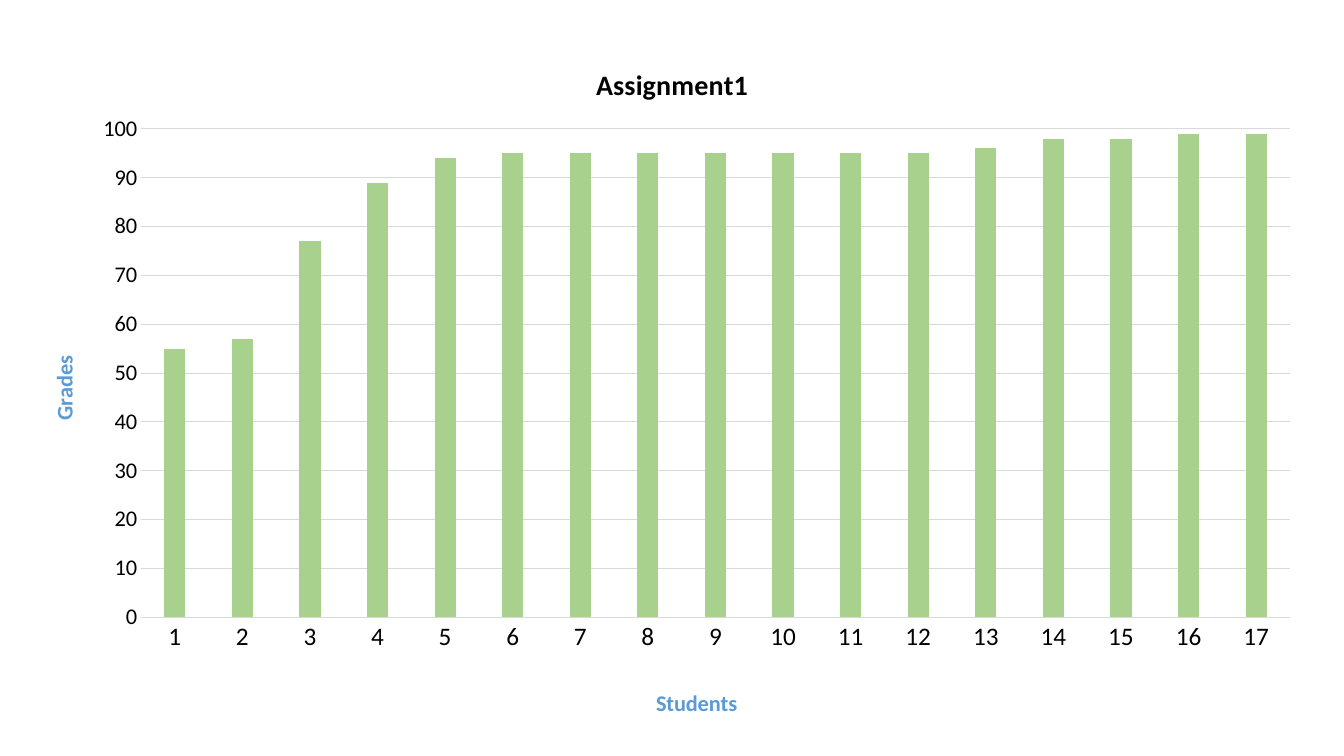
from dataclasses import dataclass

from lxml import etree
from pptx import Presentation
from pptx.chart.data import CategoryChartData
from pptx.dml.color import RGBColor
from pptx.enum.chart import XL_CHART_TYPE, XL_TICK_MARK
from pptx.oxml.ns import qn
from pptx.util import Pt

COLUMN = XL_CHART_TYPE.COLUMN_CLUSTERED
NO_TICK = XL_TICK_MARK.NONE
EMU_PER_PX = 914400 / 100.8
SLIDE_SIZE = (1344, 756)
CHART_BOX = (19, 31, 1297, 694)
PLOT_BOX = (141, 129, 1149, 489)
GRADES = [55, 57, 77, 89, 94, 95, 95, 95, 95, 95, 95, 95, 96, 98, 98, 99, 99]


@dataclass(frozen=True)
class Theme:
    font: str = "Calibri"
    text: str = "000000"
    accent: str = "5B9BD5"
    bar: str = "A9D18E"
    grid: str = "D9D9D9"
    base_size: int = 10
    title_size: int = 20
    label_size: int = 16
    category_size: int = 18
    line_width: float = 0.75


THEME = Theme()


def px(value):
    return round(value * EMU_PER_PX)


def set_font(font, size, color=THEME.text, bold=False):
    font.name = THEME.font
    font.size = Pt(size)
    font.bold = bold
    font.color.rgb = RGBColor.from_string(color)


def set_line(line):
    line.color.rgb = RGBColor.from_string(THEME.grid)
    line.width = Pt(THEME.line_width)


def set_layout(layout, x, y, size=None):
    left, top, width, height = CHART_BOX
    manual = etree.SubElement(layout, qn("c:manualLayout"))
    values = {"xMode": "edge", "yMode": "edge",
              "x": (x - left) / width, "y": (y - top) / height}
    if size:
        values = {"layoutTarget": "inner", **values,
                  "w": size[0] / width, "h": size[1] / height}
    for name, value in values.items():
        etree.SubElement(manual, qn(f"c:{name}")).set("val", str(value))


def write_title(title, text, x, y, size=THEME.label_size, color=THEME.accent, rotation=0):
    tf = title.text_frame
    p = tf.paragraphs[0]
    r = p.add_run()
    r.text = text
    set_font(r.font, size, color, bold=True)
    body = title.element.find(".//" + qn("a:bodyPr"))
    body.set("rot", str(rotation * 60000))
    body.set("vert", "horz")
    layout = title.element.find(qn("c:layout"))
    if layout is None:
        layout = etree.Element(qn("c:layout"))
        title.element.find(qn("c:tx")).addnext(layout)
    set_layout(layout, x, y)


def place_plot(chart):
    area = chart.element.find(".//" + qn("c:plotArea"))
    layout = area.find(qn("c:layout"))
    if layout is None:
        layout = etree.Element(qn("c:layout"))
        area.insert(0, layout)
    x, y, width, height = PLOT_BOX
    set_layout(layout, x, y, (width, height))


def format_axis(axis, size):
    axis.major_tick_mark = NO_TICK
    axis.minor_tick_mark = NO_TICK
    set_font(axis.tick_labels.font, size)


def add_grade_chart(s):
    data = CategoryChartData()
    data.categories = [str(i) for i in range(1, len(GRADES) + 1)]
    data.add_series("Series 1", GRADES)
    chart = s.shapes.add_chart(COLUMN, *map(px, CHART_BOX), data).chart
    chart.has_legend = False
    set_font(chart.font, THEME.base_size)
    place_plot(chart)

    plot = chart.plots[0]
    plot.gap_width = 219
    plot.overlap = -27
    plot.vary_by_categories = False
    fill = plot.series[0].format.fill
    fill.solid()
    fill.fore_color.rgb = RGBColor.from_string(THEME.bar)

    students, grades = chart.category_axis, chart.value_axis
    format_axis(students, THEME.category_size)
    set_line(students.format.line)
    format_axis(grades, THEME.label_size)
    grades.format.line.fill.background()
    grades.minimum_scale, grades.maximum_scale, grades.major_unit = 0, 100, 10
    grades.has_major_gridlines = True
    set_line(grades.major_gridlines.format.line)

    write_title(chart.chart_title, "Assignment1", 591, 60,
                size=THEME.title_size, color=THEME.text)
    write_title(students.axis_title, "Students", 652, 685)
    write_title(grades.axis_title, "Grades", 45, 352, rotation=-90)


def main():
    prs = Presentation()
    prs.slide_width, prs.slide_height = map(px, SLIDE_SIZE)
    s = prs.slides.add_slide(prs.slide_layouts[6])
    add_grade_chart(s)
    prs.save("out.pptx")


if __name__ == "__main__":
    main()
